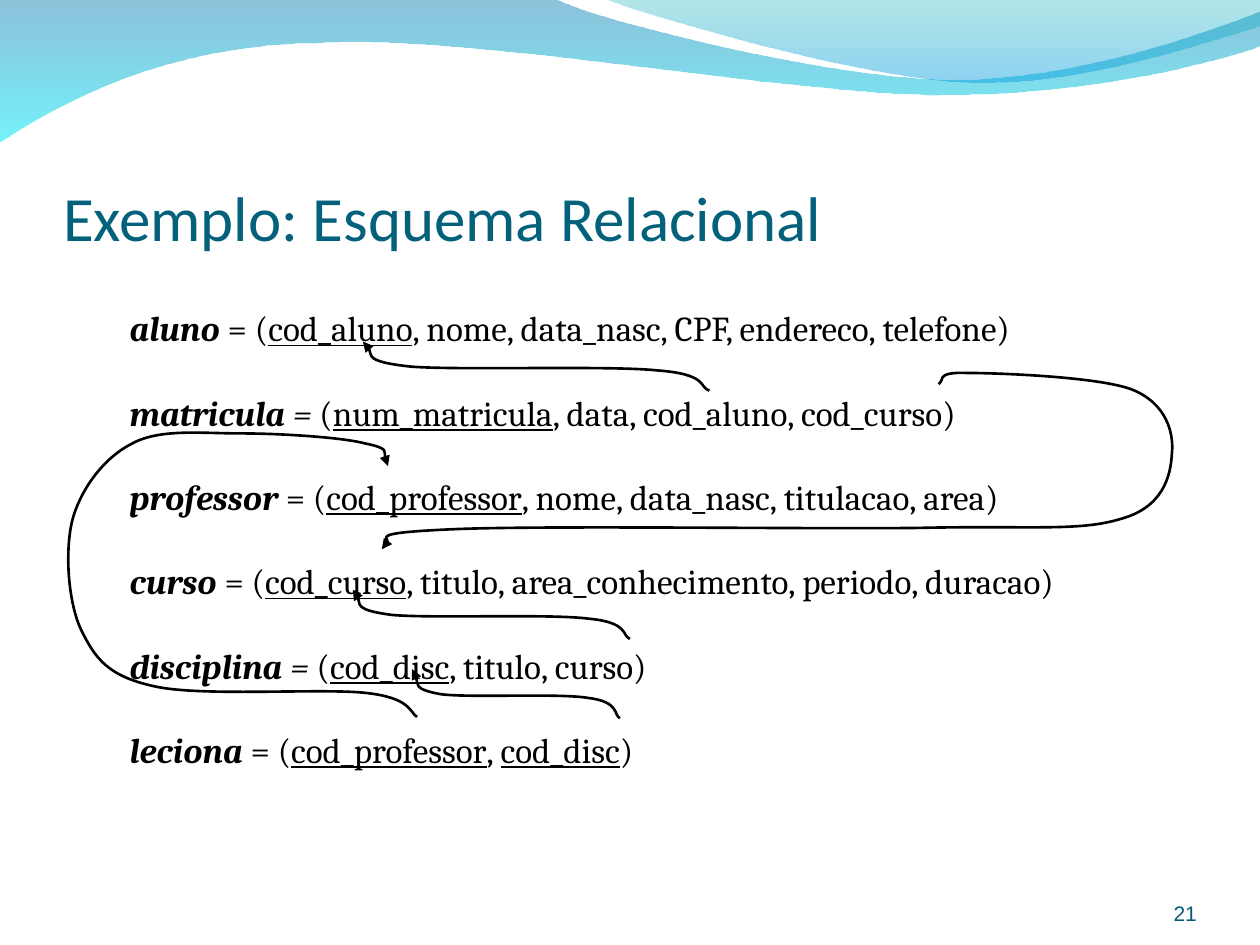
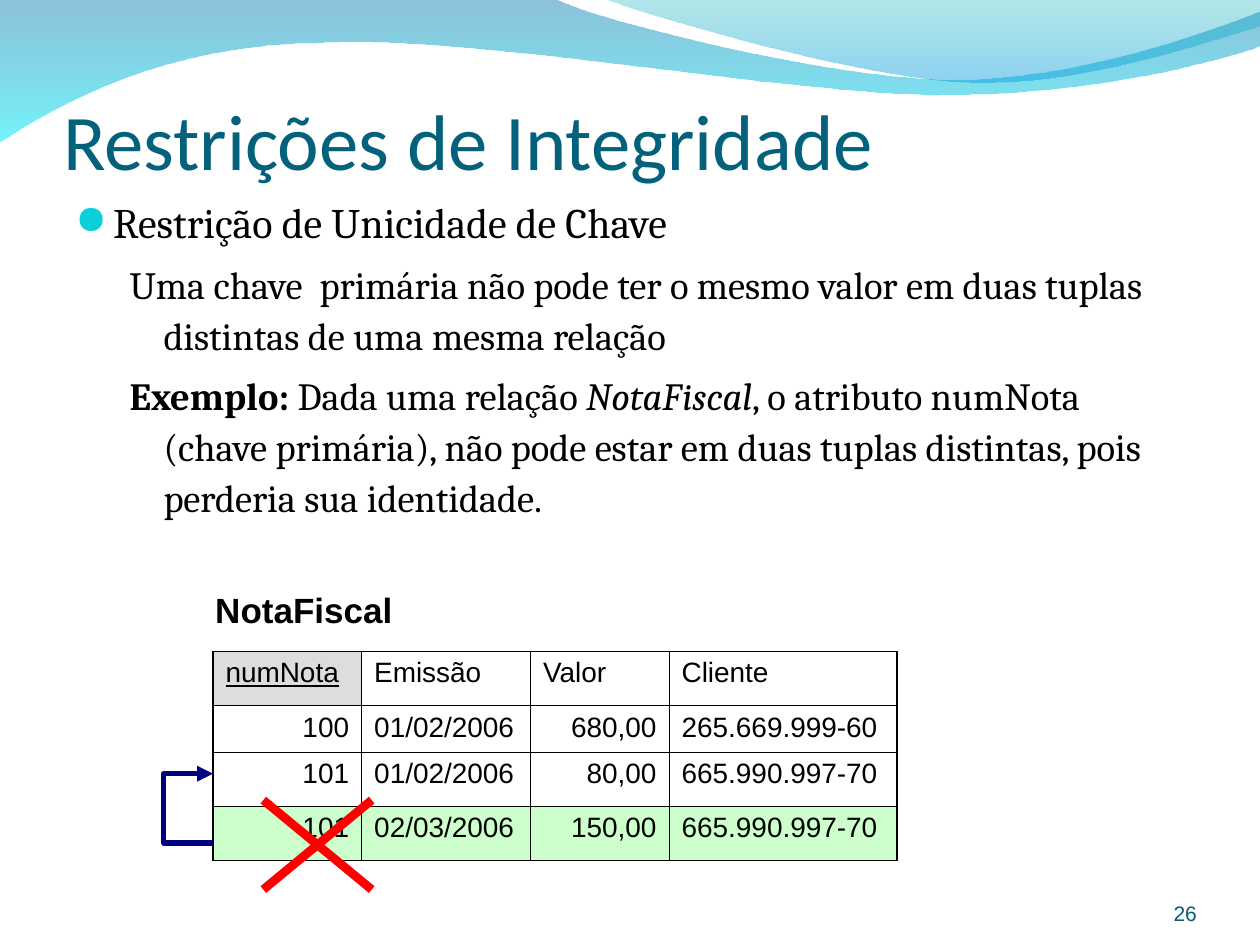
import lxml.etree
import pptx
import pptx.dml.color
import pptx.enum.shapes
import pptx.enum.text
import pptx.oxml.ns
import pptx.util
from dataclasses import dataclass

Inches, Pt = pptx.util.Inches, pptx.util.Pt
RGB = pptx.dml.color.RGBColor.from_string
qn = pptx.oxml.ns.qn
ALIGN, ANCHOR = pptx.enum.text.PP_ALIGN, pptx.enum.text.MSO_ANCHOR


@dataclass
class Theme:
    ink: str = "000000"
    title: str = "04617B"
    page: str = "045C75"
    dot: str = "0BD0D9"
    navy: str = "000080"
    red: str = "FF0000"
    gray: str = "DDDDDD"
    green: str = "CCFFCC"
    head: str = "Calibri"
    body: str = "Cambria"
    sans: str = "Arial"
    note: int = 12
    cell: int = 16
    list: int = 20
    text: int = 22
    lead: int = 24


look = Theme()


def write(frame, runs, size, font=look.body, color=look.ink, align=ALIGN.LEFT,
          left=0, hang=0, gap=None, before=0, dot=None):
    """Add a paragraph of (text, flags) runs; flags are b, i and u."""
    first = not frame.text
    para = frame.paragraphs[0] if first else frame.add_paragraph()
    para.alignment = align
    para.space_before = Pt(0 if first else before)
    if gap:
        para.line_spacing = gap
    props = para._p.get_or_add_pPr()
    props.set("marL", str(Inches(left)))
    props.set("indent", str(Inches(-hang)))
    if dot:
        tint = lxml.etree.SubElement(props, qn("a:buClr"))
        lxml.etree.SubElement(tint, qn("a:srgbClr"), val=look.dot)
        lxml.etree.SubElement(props, qn("a:buSzPct"), val="95000")
        lxml.etree.SubElement(props, qn("a:buChar"), char=dot)
    for text, flags in [(runs, "")] if isinstance(runs, str) else runs:
        run = para.add_run()
        run.text = text
        run.font.name, run.font.size = font, Pt(size)
        run.font.color.rgb = RGB(color)
        run.font.bold, run.font.italic = "b" in flags, "i" in flags
        run.font.underline = "u" in flags


def trace(slide, start, parts, line=None, width=1.5):
    """Draw lines (x, y) and curves (three points); a line colour makes an arrow."""
    build = slide.shapes.build_freeform(Inches(start[0]), Inches(start[1]), 1.0)
    dots = [(Inches(x), Inches(y)) for part in parts
            for x, y in zip(part[::2], part[1::2])]
    build.add_line_segments(dots, close=line is None)
    shape = build.convert_to_shape()
    shape.shadow.inherit = False
    # Turn each group of three points into one Bezier curve
    nodes = iter(shape.element.xpath(".//a:lnTo"))
    for part in parts:
        group = [next(nodes) for _ in part[::2]]
        if len(group) == 3:
            curve = lxml.etree.Element(qn("a:cubicBezTo"))
            group[0].addprevious(curve)
            for node in group:
                curve.append(node[0])
                node.getparent().remove(node)
    if line is None:
        shape.line.fill.background()
    else:
        shape.fill.background()
        shape.line.color.rgb, shape.line.width = RGB(line), Pt(width)
        edge = shape.element.xpath(".//a:ln")[0]
        lxml.etree.SubElement(edge, qn("a:tailEnd"), type="triangle")
    return shape


deck = pptx.Presentation()
deck.slide_width, deck.slide_height = Inches(10), Inches(7.5)
plan = deck.slide_layouts[5]

# Titles and page numbers
slides = []
for name, size, height, page in [("Exemplo: Esquema Relacional", 36, 1.25, "21"),
                                 ("Restrições de Integridade", 45, 0.71, "26")]:
    slide = deck.slides.add_slide(plan)
    slides.append(slide)
    title = slide.shapes.title
    title.left, title.top = Inches(0.5), Inches(0.77)
    title.width, title.height = Inches(9), Inches(height)
    num = slide.shapes.add_textbox(Inches(8.67), Inches(6.95), Inches(0.83), Inches(0.4))
    for box, top in (title, 0.05), (num, 0):
        frame = box.text_frame
        frame.word_wrap = True
        frame.auto_size = pptx.enum.text.MSO_AUTO_SIZE.NONE
        frame.vertical_anchor = ANCHOR.BOTTOM
        frame.margin_left = frame.margin_right = frame.margin_bottom = 0
        frame.margin_top = Inches(top)
    write(title.text_frame, name, size, font=look.head, color=look.title)
    write(num.text_frame, page, look.note, font=look.sans, color=look.page,
          align=ALIGN.RIGHT)
first, last = slides

# Waves, moved to the shared layout
waves = [
    ((0, -0.01), [(4.4, -0.01), (4.76, 0.17, 6.64, 0.63, 7.58, 0.63),
                  (8.53, 0.63, 9.58, 0.26, 10, 0.09), (10.01, 0.36),
                  (9.83, 0.44, 8.7, 0.76, 7.46, 0.75),
                  (6.22, 0.75, 3.82, 0.28, 2.57, 0.34),
                  (1.29, 0.35, 0.46, 0.83, -0.01, 1.13)],
     [("0079AF", 45), ("00EBF8", 55)]),
    ((4.79, -0.01), [(5.09, 0.11, 6.82, 0.62, 7.69, 0.65),
                     (8.56, 0.69, 9.61, 0.32, 10, 0.21), (10, 0)],
     [("00ADB6", 30), ("009BE5", 45)]),
]
for start, parts, stops in waves:
    wave = trace(first, start, parts)
    wave.fill.gradient()
    wave.fill.gradient_angle = 270
    for stop, (color, alpha) in zip(wave.fill.gradient_stops, stops):
        stop.color.rgb = RGB(color)
    for tint, (color, alpha) in zip(wave.element.xpath(".//a:gs/a:srgbClr"), stops):
        lxml.etree.SubElement(tint, qn("a:alpha"), val=str(alpha * 1000))
    plan.element.cSld.spTree.append(wave.element)

# Relations of the schema
box = first.shapes.add_textbox(Inches(0.5), Inches(2.12), Inches(9), Inches(4.8))
box.text_frame.word_wrap = True
schema = [
    [("aluno", "bi"), (" = (", ""), ("cod_aluno", "u"),
     (", nome, data_nasc, CPF, endereco, telefone)", "")],
    [("matricula", "bi"), (" = ", "i"), ("(", ""), ("num_matricula", "u"),
     (", data, cod_aluno, cod_curso)", "")],
    [("professor ", "bi"), ("= (", ""), ("cod_professor", "u"),
     (", nome, data_nasc, titulacao, area)", "")],
    [("curso", "bi"), (" = (", ""), ("cod_curso", "u"),
     (", titulo, area_conhecimento, periodo, duracao)", "")],
    [("disciplina", "bi"), (" =", "i"), (" (", ""), ("cod_disc", "u"),
     (", titulo, curso)", "")],
    [("leciona", "bi"), (" = (", ""), ("cod_professor", "u"), (", ", ""),
     ("cod_disc", "u"), (")", "")],
]
for runs in schema:
    write(box.text_frame, runs, look.list, left=0.7, hang=0.27, gap=1.8, before=5)

# Short key arrows: one bend, stretched to each width
bend = [(0.97, 0.37, 1, 0.26, 0.85, 0.23), (0.71, 0.19, 0.28, 0.23, 0.14, 0.2),
        (0, 0.16, 0.03, 0.04, 0, 0)]
for left, top, wide in (2.88, 2.71, 2.75), (3.27, 5.31, 1.65), (2.8, 4.68, 2.2):
    parts = [[left + v * wide if i % 2 == 0 else top + v for i, v in enumerate(part)]
             for part in bend]
    trace(first, (left + wide, top + 0.39), parts, look.ink)

# Long key arrows: leciona to professor, matricula to curso
trace(first, (3.31, 5.69), [
    (3.25, 5.65, 3.26, 5.54, 2.91, 5.5), (2.57, 5.46, 1.62, 5.53, 1.24, 5.45),
    (0.86, 5.37, 0.76, 5.23, 0.65, 5.01), (0.54, 4.79, 0.51, 4.36, 0.58, 4.11),
    (0.65, 3.87, 0.83, 3.63, 1.05, 3.52), (1.27, 3.4, 1.6, 3.44, 1.91, 3.44),
    (2.22, 3.44, 2.71, 3.47, 2.9, 3.52), (3.1, 3.56, 3.04, 3.66, 3.08, 3.7)], look.ink)
trace(first, (7.45, 3.05), [
    (7.5, 3.03, 7.41, 2.95, 7.67, 2.96), (7.92, 2.96, 8.71, 2.99, 8.98, 3.09),
    (9.26, 3.2, 9.32, 3.44, 9.3, 3.61), (9.29, 3.78, 9.23, 4.03, 8.89, 4.12),
    (8.56, 4.22, 8.17, 4.17, 7.29, 4.19), (6.41, 4.2, 4.32, 4.17, 3.61, 4.2),
    (2.9, 4.23, 3.13, 4.34, 3.03, 4.36)], look.ink)

# Key constraint text
box = last.shapes.add_textbox(Inches(0.5), Inches(1.47), Inches(9), Inches(3.1))
box.text_frame.word_wrap = True
write(box.text_frame, "Restrição de Unicidade de Chave", look.lead,
      left=0.3, hang=0.3, gap=1.1, dot="●")
for runs in [
    "Uma chave  primária não pode ter o mesmo valor em duas tuplas distintas "
    "de uma mesma relação",
    [("Exemplo: ", "b"), ("Dada uma relação ", ""), ("NotaFiscal", "i"),
     (", o atributo numNota (chave primária), não pode estar em duas tuplas "
      "distintas, pois perderia sua identidade.", "")],
]:
    write(box.text_frame, runs, look.text, left=0.7, hang=0.27, gap=1.1, before=5.5)

# Invoice table
rows = [("numNota", "Emissão", "Valor", "Cliente"),
        ("100", "01/02/2006", "680,00", "265.669.999-60"),
        ("101", "01/02/2006", "80,00", "665.990.997-70"),
        ("101", "02/03/2006", "150,00", "665.990.997-70")]
grid = last.shapes.add_table(4, 4, Inches(1.69), Inches(5.17),
                             Inches(5.43), Inches(1.66)).table
grid.first_row = grid.horz_banding = False
for col, wide in zip(grid.columns, (1.18, 1.34, 1.1, 1.81)):
    col.width = Inches(wide)
for row, tall in zip(grid.rows, (0.43, 0.37, 0.43, 0.43)):
    row.height = Inches(tall)
for r, row in enumerate(rows):
    for c, text in enumerate(row):
        cell = grid.cell(r, c)
        fill = look.gray if r == c == 0 else look.green if r == 3 else None
        if fill:
            cell.fill.solid()
            cell.fill.fore_color.rgb = RGB(fill)
        else:
            cell.fill.background()
        write(cell.text_frame, [(text, "u" if r == c == 0 else "")], look.cell,
              font=look.sans, align=ALIGN.RIGHT if r and c % 2 == 0 else ALIGN.LEFT)
        props = cell._tc.get_or_add_tcPr()
        outer = {"L": c == 0, "R": c == 3, "T": r == 0, "B": r == 3}
        for i, (side, bold) in enumerate(outer.items()):
            edge = lxml.etree.Element(qn("a:ln" + side), w=str(Pt(1.08 if bold else 0.45)))
            solid = lxml.etree.SubElement(edge, qn("a:solidFill"))
            lxml.etree.SubElement(solid, qn("a:srgbClr"), val=look.ink)
            props.insert(i, edge)

# Table name
box = last.shapes.add_textbox(Inches(1.61), Inches(4.62), Inches(1.61), Inches(0.44))
box.text_frame.word_wrap = False
write(box.text_frame, [("NotaFiscal", "b")], look.list, font=look.sans)

# Repeated key: arrow and red cross
trace(last, (1.69, 6.69), [(1.3, 6.69), (1.3, 6.14), (1.69, 6.14)], look.navy, 3)
cross = last.shapes.add_group_shape()
for x1, x2 in (2.09, 2.95), (2.95, 2.09):
    bar = cross.shapes.add_connector(pptx.enum.shapes.MSO_CONNECTOR.STRAIGHT,
                                     Inches(x1), Inches(6.35), Inches(x2), Inches(7.06))
    bar.line.color.rgb, bar.line.width = RGB(look.red), Pt(5)
    lxml.etree.SubElement(bar.element.spPr, qn("a:effectLst"))

deck.save("out.pptx")
